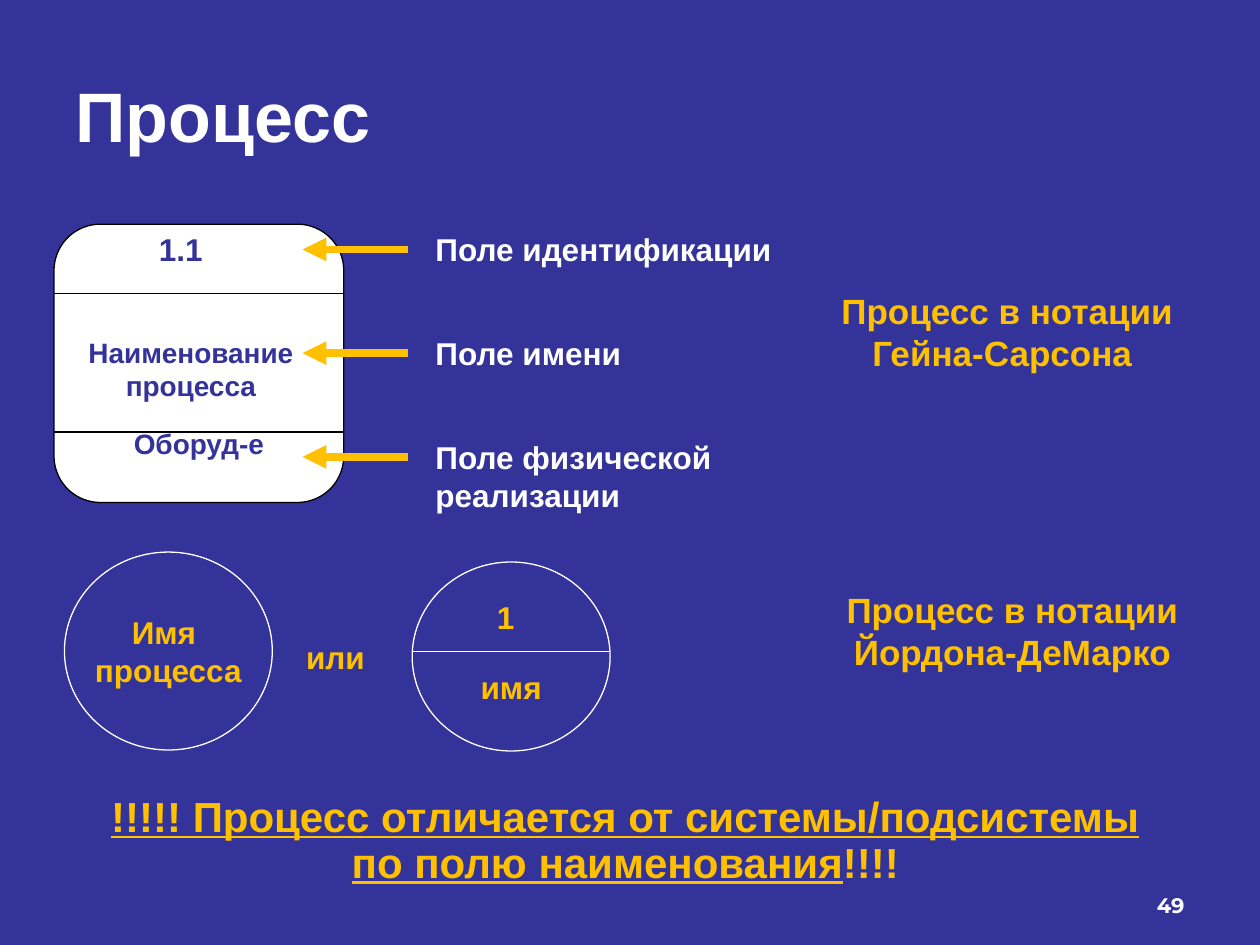
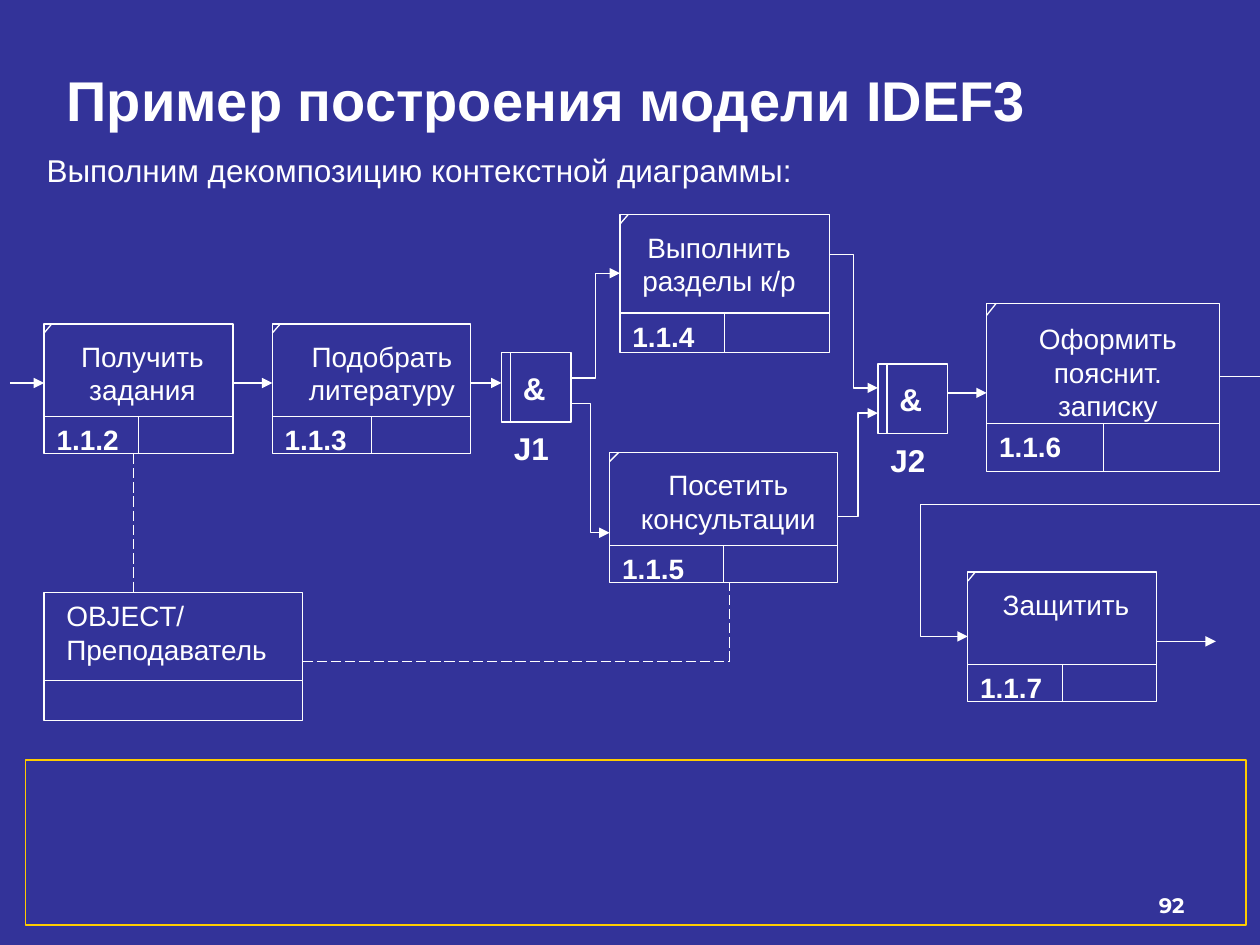
from lxml import etree
from pptx import Presentation
from pptx.dml.color import RGBColor
from pptx.enum import dml, shapes, text
from pptx.oxml import ns
from pptx.util import Cm, Pt

BLUE, WHITE, BLACK = "333399", "FFFFFF", "000000"
AMBER, YELLOW = "FFC000", "FFCC00"
THIN = 0.75
colour = RGBColor.from_string
PRESET, LINK = shapes.MSO_SHAPE, shapes.MSO_CONNECTOR
ALIGN, ANCHOR = text.PP_ALIGN, text.MSO_ANCHOR


def block(page, words, left, top, width, height, size=18, ink=WHITE, bold=True,
          align=ALIGN.LEFT, anchor=ANCHOR.TOP, preset=None, fill=None, line=None):
    """Add a text box, or a preset shape when one is given."""
    place = Cm(left), Cm(top), Cm(width), Cm(height)
    if preset is None:
        box = page.shapes.add_textbox(*place)
    else:
        box = page.shapes.add_shape(preset, *place)
        box.shadow.inherit = False
        if fill:
            box.fill.solid()
            box.fill.fore_color.rgb = colour(fill)
        else:
            box.fill.background()
        if line:
            box.line.color.rgb = colour(line)
            box.line.width = Pt(THIN)
        else:
            box.line.fill.background()
    if words:
        frame = box.text_frame
        frame.text = words
        frame.word_wrap = True
        frame.vertical_anchor = anchor
        for para in frame.paragraphs:
            para.alignment = align
            for span in para.runs:
                span.font.name = "Arial"
                span.font.size = Pt(size)
                span.font.bold = bold
                span.font.color.rgb = colour(ink)
    return box


def wire(page, x1, y1, x2, y2, ink=WHITE, width=THIN, kind=LINK.STRAIGHT,
         arrow=False, dashed=False):
    """Add a connector; an arrow points at its second end."""
    link = page.shapes.add_connector(kind, Cm(x1), Cm(y1), Cm(x2), Cm(y2))
    link.line.color.rgb = colour(ink)
    link.line.width = Pt(width)
    if dashed:
        link.line.dash_style = dml.MSO_LINE.LONG_DASH
    properties = link._element.spPr
    if arrow:
        outline = properties.find(ns.qn("a:ln"))
        etree.SubElement(outline, ns.qn("a:tailEnd"), type="triangle")
    etree.SubElement(properties, ns.qn("a:effectLst"))
    return link


deck = Presentation()
deck.slide_width, deck.slide_height = Cm(25.4), Cm(19.05)
background = deck.slide_master.background.fill
background.solid()
background.fore_color.rgb = colour(BLUE)

# Titles and page numbers
pages = []
for heading, left, height, size, number in [
    ("Процесс", 1.27, 2.06, 40, "49"),
    ("Пример построения модели IDEF3", 1.09, 1.45, 32, "92"),
]:
    page = deck.slides.add_slide(deck.slide_layouts[5])
    title = page.shapes.title
    title.left, title.top = Cm(left), Cm(1.27)
    title.width, title.height = Cm(22.86), Cm(height)
    title.text_frame.text = heading
    title.text_frame.vertical_anchor = ANCHOR.MIDDLE
    para = title.text_frame.paragraphs[0]
    para.alignment = ALIGN.LEFT
    font = para.runs[0].font
    font.name, font.size, font.bold = "Arial", Pt(size), True
    font.color.rgb = colour(WHITE)
    box = block(page, number, 18.21, 17.35, 5.92, 1.27, 12,
                align=ALIGN.RIGHT, anchor=ANCHOR.BOTTOM)
    box.text_frame.paragraphs[0].runs[0].font.name = "Montserrat"
    pages.append(page)
process_page, model_page = pages

# Gane-Sarson process
block(process_page, "", 1.09, 4.52, 5.84, 5.61,
      preset=PRESET.FLOWCHART_ALTERNATE_PROCESS, fill=WHITE, line=BLACK)
block(process_page, "Наименование процесса", 1.27, 6.63, 5.16, 2.08, 16, BLUE,
      align=ALIGN.CENTER, preset=PRESET.RECTANGLE, fill=WHITE)
for y in (5.92, 8.71):
    wire(process_page, 1.09, y, 6.93, y, BLACK)
block(process_page, "1.1", 2.49, 4.52, 2.31, 1.4, 18, BLUE, align=ALIGN.CENTER)
block(process_page, "Оборуд-е", 1.09, 8.48, 5.84, 1.85, 16, BLUE, align=ALIGN.CENTER)

fields = ["Поле идентификации", "Поле имени", "Поле физической реализации"]
for row, field in enumerate(fields):
    y = 4.52 + 2.09 * row
    block(process_page, field, 8.53, y, 9.58, 1.4)
    wire(process_page, 8.23, y + 0.51, 6.1, y + 0.51, AMBER, 4.5, arrow=True)

# Yourdon-DeMarco process
circle = block(process_page, "Имя \nпроцесса", 1.3, 11.13, 4.19, 3.99, 18, AMBER,
               align=ALIGN.CENTER, anchor=ANCHOR.MIDDLE, preset=PRESET.OVAL, line=WHITE)
circle.text_frame.word_wrap = False
block(process_page, "", 8.31, 11.33, 3.99, 3.81, preset=PRESET.OVAL, line=WHITE)
wire(process_page, 8.31, 13.13, 12.3, 13.13)
block(process_page, "или", 5.92, 12.73, 2.01, 1.02, 18, AMBER)

for words, left, top, width, height, size in [
    ("1", 9.7, 11.94, 0.99, 1.02, 18),
    ("имя", 9.3, 13.34, 2.01, 1.02, 18),
    ("Процесс в нотации Гейна-Сарсона ", 16.1, 5.72, 8.41, 1.96, 20),
    ("Процесс в нотации Йордона-ДеМарко", 16.51, 11.73, 7.8, 1.96, 20),
]:
    block(process_page, words, left, top, width, height, size, AMBER, align=ALIGN.CENTER)

warning = block(process_page,
                "!!!!! Процесс отличается от системы/подсистемы по полю наименования",
                1.9, 15.93, 21.41, 2.11, 24, AMBER, align=ALIGN.CENTER)
para = warning.text_frame.paragraphs[0]
para.line_spacing = 0.9
para.runs[0].font.underline = True
span = para.add_run()
span.text = "!!!!"
span.font.name, span.font.size, span.font.bold = "Arial", Pt(24), True
span.font.color.rgb = colour(AMBER)

# IDEF3 activities
block(model_page, "Выполним декомпозицию контекстной диаграммы:",
      0.69, 2.92, 23.9, 1.02, bold=False)
for code, name, left, top, width, height, shift in [
    ("1.1.2", "Получить задания", 0.89, 6.53, 3.81, 2.62, 0),
    ("1.1.3", "Подобрать литературу", 5.49, 6.53, 4, 2.62, 0.13),
    ("1.1.4", "Выполнить разделы к/р", 12.5, 4.32, 4.22, 2.79, -0.2),
    ("1.1.5", "Посетить консультации", 12.29, 9.12, 4.6, 2.62, 0),
    ("1.1.6", "Оформить пояснит. записку", 19.89, 6.12, 4.7, 3.38, 0),
    ("1.1.7", "Защитить", 19.51, 11.53, 3.81, 2.62, 0),
]:
    right, bottom, middle = left + width, top + height, left + width / 2
    divider = top + height * 5 / 7
    cut_x, cut_y = width * 0.04, height * 0.07
    block(model_page, "", left, top, width, height, preset=PRESET.RECTANGLE, line=WHITE)
    wire(model_page, left, divider, right, divider)
    wire(model_page, middle, divider, middle, bottom)
    wire(model_page, left + cut_x, top, left, top + cut_y)
    block(model_page, code, left, divider, 2.3, 0.94, 16)
    block(model_page, name, left + cut_x + shift, top + cut_y, width - cut_x, 1.63,
          16, bold=False, align=ALIGN.CENTER)

# Junctions
for name, left, top in [("J1", 10.11, 7.11), ("J2", 17.7, 7.34)]:
    block(model_page, "", left, top, 1.4, 1.4, preset=PRESET.RECTANGLE, line=WHITE)
    wire(model_page, left + 0.18, top, left + 0.18, top + 1.4)
    block(model_page, "&", left + 0.18, top + 0.2, 0.81, 1.02)
    block(model_page, name, left, top + 1.42, 1.57, 1.02)

# Flow between activities
for x1, x2, y in [(0.2, 0.89, 7.72), (4.7, 5.49, 7.72), (9.49, 10.11, 7.72),
                  (19.1, 19.89, 7.92), (23.32, 24.51, 12.93)]:
    wire(model_page, x1, y, x2, y, arrow=True)
for ends in [(11.51, 7.62, 12.5, 5.51), (11.51, 8.13, 12.29, 10.74),
             (16.72, 5.13, 17.7, 7.82), (16.89, 10.41, 17.7, 8.33)]:
    wire(model_page, *ends, kind=LINK.ELBOW, arrow=True)

return_link = wire(model_page, 24.59, 7.59, 19.51, 12.83, kind=LINK.ELBOW, arrow=True)
geometry = return_link._element.spPr.find(ns.qn("a:prstGeom"))
geometry.set("prst", "bentConnector5")
guides = geometry.find(ns.qn("a:avLst"))
for index, share in enumerate((-18700, 49200, 118700), 1):
    etree.SubElement(guides, ns.qn("a:gd"), name=f"adj{index}", fmla=f"val {share}")

# Referenced object
block(model_page, "", 0.89, 11.94, 5.21, 2.59, preset=PRESET.RECTANGLE, line=WHITE)
wire(model_page, 0.89, 13.72, 6.1, 13.72)
block(model_page, "OBJECT/ Преподаватель", 1.09, 11.94, 5, 1.63, 16, bold=False)
for ends in [(2.69, 9.15, 2.69, 11.94), (6.1, 13.34, 14.71, 13.34),
             (14.71, 13.34, 14.71, 11.74)]:
    wire(model_page, *ends, dashed=True)

block(model_page, "", 0.51, 15.32, 24.61, 3.33, preset=PRESET.RECTANGLE, line=YELLOW)

deck.save("out.pptx")
